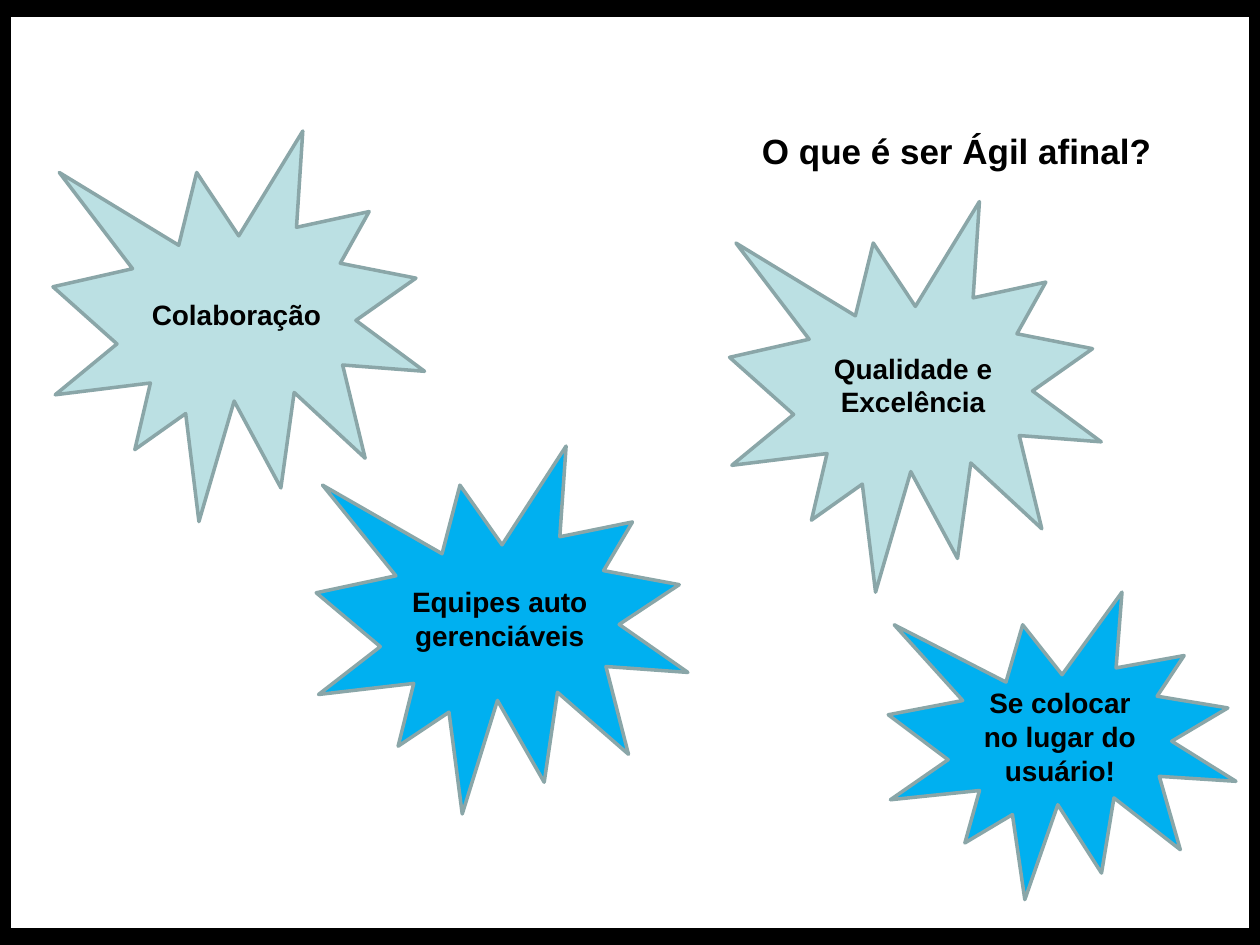
import pptx
import pptx.util
import pptx.dml.color
import pptx.enum.shapes
import pptx.enum.text

Pt = pptx.util.Pt
RGBColor = pptx.dml.color.RGBColor
Shape = pptx.enum.shapes.MSO_SHAPE
Align = pptx.enum.text.PP_ALIGN
Anchor = pptx.enum.text.MSO_ANCHOR

BLACK = RGBColor(0x00, 0x00, 0x00)
WHITE = RGBColor(0xFF, 0xFF, 0xFF)
PALE_TEAL = RGBColor(0xBB, 0xE0, 0xE3)
SKY_BLUE = RGBColor(0x00, 0xB0, 0xF0)
OUTLINE = RGBColor(0x8A, 0xA6, 0xA8)

WIDTH, HEIGHT = 720, 540

# Text, fill colour, (left, top, width, height)
VALUES = [
    ("Colaboração", PALE_TEAL, (30.24, 74.88, 212.4, 223.2)),
    ("Se colocar no lugar do usuário!", SKY_BLUE, (507.6, 338.4, 198.72, 175.68)),
    ("Qualidade e Excelência", PALE_TEAL, (416.88, 115.2, 212.4, 223.2)),
    ("Equipes auto gerenciáveis", SKY_BLUE, (180.72, 254.88, 212.4, 210.24)),
]


def add_filled(slide, kind, box, fill, line, line_width):
    shape = slide.shapes.add_shape(kind, *map(Pt, box))
    shape.shadow.inherit = False
    shape.fill.solid()
    shape.fill.fore_color.rgb = fill
    shape.line.color.rgb = line
    shape.line.width = Pt(line_width)
    return shape


def write(frame, text, size, align, anchor):
    frame.word_wrap = True
    frame.auto_size = pptx.enum.text.MSO_AUTO_SIZE.NONE
    frame.vertical_anchor = anchor
    frame.margin_left = frame.margin_right = Pt(7.2)
    frame.margin_top = frame.margin_bottom = Pt(3.6)
    paragraph = frame.paragraphs[0]
    paragraph.alignment = align
    run = paragraph.add_run()
    run.text = text
    run.font.name = "Arial"
    run.font.size = Pt(size)
    run.font.bold = True
    run.font.color.rgb = BLACK


def add_border(slide, box, side, band):
    """Frame the box with bars: side wide at left and right, band high at top and bottom."""
    left, top, width, height = box
    bars = [
        (left, top + height - band, width, band),
        (left + width - side, top, side, height),
        (left, top, side, height),
        (left, top, width, band),
    ]
    for bar in bars:
        add_filled(slide, Shape.RECTANGLE, bar, BLACK, BLACK, 0.75)


def place_title(slide, box, text):
    title = slide.shapes.title
    title.left, title.top, title.width, title.height = map(Pt, box)
    write(title.text_frame, text, 20, Align.RIGHT, Anchor.TOP)


def add_burst(slide, box, text, fill):
    burst = add_filled(slide, Shape.EXPLOSION1, box, fill, OUTLINE, 2)
    write(burst.text_frame, text, 16, Align.CENTER, Anchor.MIDDLE)


def main():
    deck = pptx.Presentation()
    deck.slide_width, deck.slide_height = Pt(WIDTH), Pt(HEIGHT)
    slide = deck.slides.add_slide(deck.slide_layouts.get_by_name("Title Only"))
    slide.background.fill.solid()
    slide.background.fill.fore_color.rgb = WHITE

    add_border(slide, (0, 0, WIDTH, HEIGHT), 5.76, 9.36)
    place_title(slide, (190.08, 70.56, 475.2, 31.68), "O que é ser Ágil afinal?")
    for text, fill, box in VALUES:
        add_burst(slide, box, text, fill)

    deck.save("out.pptx")


if __name__ == "__main__":
    main()
